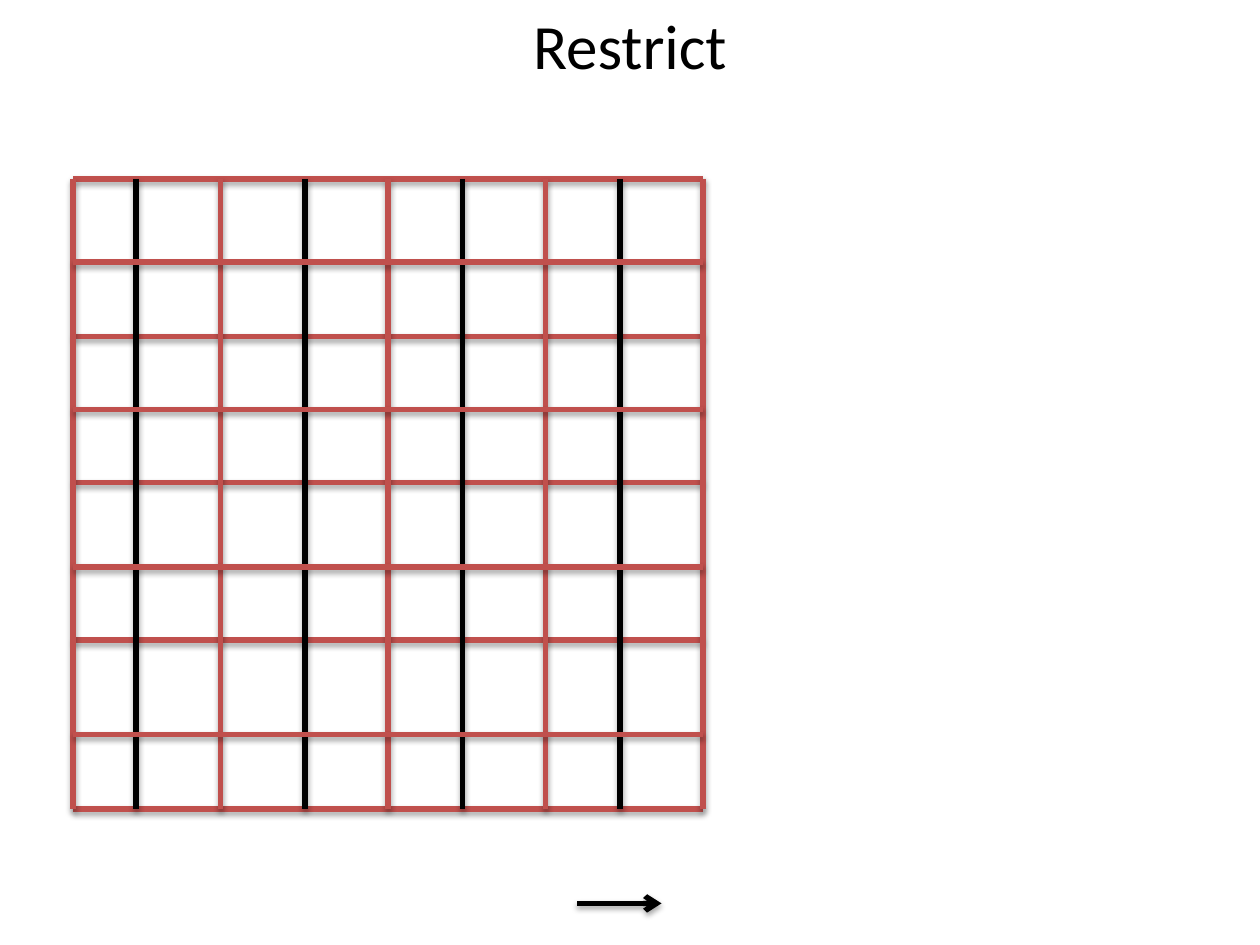
import lxml.etree
import pptx
import pptx.dml.color
import pptx.enum.shapes
import pptx.enum.text
import pptx.oxml
import pptx.oxml.ns
import pptx.util

Inches = pptx.util.Inches
COLOURS = {"text": "000000", "coarse": "C0504D", "fine": "000000", "shadow": "000000"}


def rgb(name):
    return pptx.dml.color.RGBColor.from_string(COLOURS[name])


def add_shadow(line):
    effects = pptx.oxml.parse_xml(
        f'<a:effectLst {pptx.oxml.ns.nsdecls("a")}>'
        '<a:outerShdw blurRad="40000" dist="23000" dir="5400000" rotWithShape="0">'
        f'<a:srgbClr val="{COLOURS["shadow"]}"><a:alpha val="35000"/></a:srgbClr>'
        '</a:outerShdw></a:effectLst>')
    line._element.spPr.append(effects)


def add_line(shapes, start, end, colour, arrow=False):
    line = shapes.add_connector(
        pptx.enum.shapes.MSO_CONNECTOR.STRAIGHT,
        *[Inches(value) for value in (*start, *end)])
    line.line.color.rgb = rgb(colour)
    line.line.width = pptx.util.Pt(3)
    if arrow:
        outline = line.line._get_or_add_ln()
        lxml.etree.SubElement(outline, pptx.oxml.ns.qn("a:tailEnd"), type="arrow")
    add_shadow(line)
    return line


def write_text(frame, text, size, colour, font="Calibri",
               align=pptx.enum.text.PP_ALIGN.CENTER):
    para = frame.paragraphs[0]
    para.alignment = align
    span = para.add_run()
    span.text = text
    span.font.size = pptx.util.Pt(size)
    span.font.name = font
    span.font.color.rgb = rgb(colour)


def add_title(page, text, left, top, width, height):
    box = page.shapes.title
    box.left, box.top, box.width, box.height = [
        Inches(value) for value in (left, top, width, height)]
    frame = box.text_frame
    frame.word_wrap = True
    frame.auto_size = pptx.enum.text.MSO_AUTO_SIZE.SHAPE_TO_FIT_TEXT
    frame.vertical_anchor = pptx.enum.text.MSO_ANCHOR.TOP
    write_text(frame, text, size=36, colour="text")


def add_grid(page, left, top, size):
    shapes = page.shapes.add_group_shape().shapes

    def add_rows(offsets):
        for offset in offsets:
            add_line(shapes, (left, top + offset), (left + size, top + offset), "coarse")

    def add_columns(offsets, colour):
        for offset in offsets:
            add_line(shapes, (left + offset, top), (left + offset, top + size), colour)

    add_rows((0, 1.25, 2.41, 3.66, size))
    add_columns((0, 1.17, 2.5, 3.75, size), "coarse")
    add_columns((0.5, 1.84, 3.09, 4.34), "fine")
    add_rows((0.66, 1.83, 3.08, 4.41))


def add_arrow(page, left, top, width):
    add_line(page.shapes, (left, top), (left + width, top), "fine", arrow=True)


deck = pptx.Presentation()
deck.slide_width, deck.slide_height = Inches(10), Inches(7.5)
page = deck.slides.add_slide(deck.slide_layouts[5])
add_arrow(page, 4.58, 7.17, 0.67)
add_title(page, "Restrict", 0, 0, 10, 0.71)
add_grid(page, 0.58, 1.42, 5)
deck.save("out.pptx")
